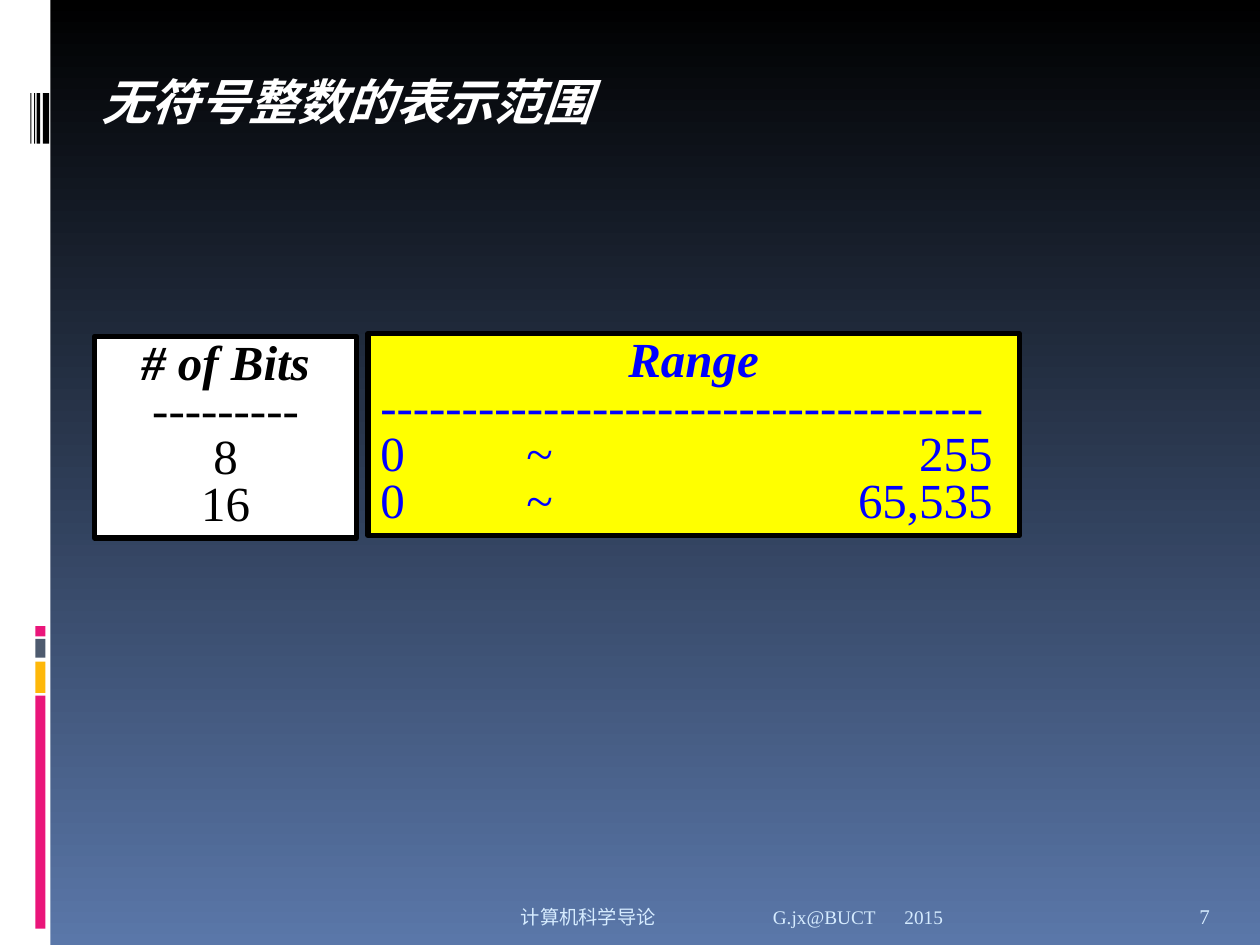
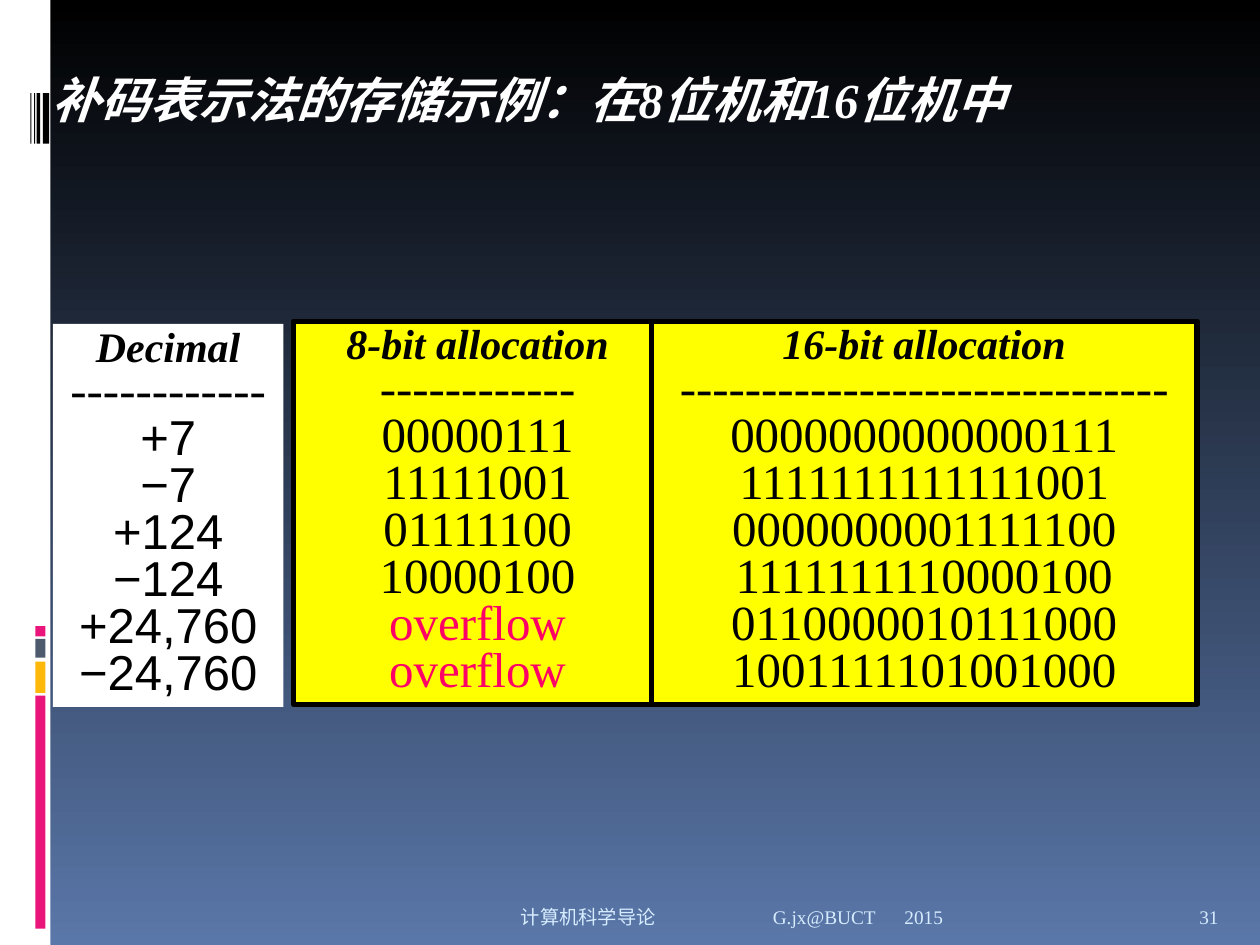
from lxml import etree
from pptx import Presentation
from pptx.dml.color import RGBColor
from pptx.enum.shapes import MSO_SHAPE
from pptx.enum.text import MSO_ANCHOR, PP_ALIGN
from pptx.oxml.ns import qn
from pptx.util import Inches, Pt

RECT = MSO_SHAPE.RECTANGLE
TOP, BOTTOM = MSO_ANCHOR.TOP, MSO_ANCHOR.BOTTOM
LEFT, CENTER, RIGHT = PP_ALIGN.LEFT, PP_ALIGN.CENTER, PP_ALIGN.RIGHT

SERIF, SANS = "Times New Roman", "Arial"
BLACK, WHITE, YELLOW, BLUE = "000000", "FFFFFF", "FFFF00", "0000FF"
SKY, PINK, ALERT = "D6ECFF", "EA157A", "FF0066"
SLATE, GOLD, FOOTER = "4E5B6F", "FEB80A", "D6ECFF"
BACKGROUND = (BLACK, "5A77A9")

SIDE_BLOCKS = [(4.97, 0.08, PINK), (5.07, 0.15, SLATE), (5.25, 0.25, GOLD), (5.52, 1.85, PINK)]
BARCODE = [(0.24, 0.01), (0.27, 0.01), (0.29, 0.03), (0.34, 0.05)]
RANGE_TABS = [(1.16, "l"), (4.86, "r")]


def rgb(value):
    """Turn a hex string into a colour."""
    return RGBColor.from_string(value)


def add_rect(s, x, y, w, h, fill, border=False):
    """Add a plain rectangle, with a thick black border if asked."""
    sp = s.shapes.add_shape(RECT, Inches(x), Inches(y), Inches(w), Inches(h))
    sp.shadow.inherit = False
    sp.fill.solid()
    sp.fill.fore_color.rgb = rgb(fill)
    if border:
        sp.line.color.rgb = rgb(BLACK)
        sp.line.width = Pt(3)
    else:
        sp.line.fill.background()
    return sp


def set_tabs(p, tabs):
    """Give a paragraph its tab stops as (inches, alignment) pairs."""
    tab_list = etree.SubElement(p._p.get_or_add_pPr(), qn("a:tabLst"))
    for pos, algn in tabs:
        etree.SubElement(tab_list, qn("a:tab"), pos=str(Inches(pos)), algn=algn)


def write(p, text, size, color, font=SERIF, align=LEFT, strong=False, tabs=()):
    """Fill a paragraph and format its runs; strong is bold italic."""
    p.text = text
    if tabs:
        set_tabs(p, tabs)
    p.alignment = align
    for r in p.runs:
        r.font.name = font
        r.font.size = Pt(size)
        r.font.bold = r.font.italic = strong
        r.font.color.rgb = rgb(color)


def add_text(s, x, y, w, h, text, size, color, anchor=TOP, wrap=True, **style):
    """Add a text box with one paragraph."""
    tf = s.shapes.add_textbox(Inches(x), Inches(y), Inches(w), Inches(h)).text_frame
    tf.word_wrap = wrap
    tf.vertical_anchor = anchor
    write(tf.paragraphs[0], text, size, color, **style)


def add_column(s, x, y, w, h, header, dashes, rows, fill=YELLOW, color=BLACK, border=True,
               header_size=24, font=SERIF, align=CENTER, tabs=()):
    """Add a box with a header, a dashed rule and rows of values."""
    tf = add_rect(s, x, y, w, h, fill, border).text_frame
    tf.word_wrap = True
    tf.vertical_anchor = TOP
    write(tf.paragraphs[0], header, header_size, color, align=CENTER, strong=True)
    write(tf.add_paragraph(), "-" * dashes, 28, color, align=align)
    for row in rows:
        row_color = ALERT if row == "overflow" else color
        write(tf.add_paragraph(), row, 28, row_color, font, align, tabs=tabs)
    for p in tf.paragraphs:
        p.line_spacing = 0.8


def add_base(prs, title, title_x, title_y, title_w, number, number_size):
    """Add a slide with background, side band, footer and title."""
    s = prs.slides.add_slide(prs.slide_layouts[6])
    fill = s.background.fill
    fill.gradient()
    fill.gradient_angle = 270
    for stop, color, position in zip(fill.gradient_stops, BACKGROUND, (0, 1)):
        stop.color.rgb = rgb(color)
        stop.position = position
    add_rect(s, 0, 0, 0.4, 7.5, WHITE)
    for y, h, color in SIDE_BLOCKS:
        add_rect(s, 0.28, y, 0.08, h, color)
    for x, w in BARCODE:
        add_rect(s, x, 0.74, w, 0.4, BLACK)
    add_text(s, 7.08, 7.02, 2.33, 0.4, "2015", 11, FOOTER, BOTTOM)
    add_text(s, 1, 7.02, 6.05, 0.4, "计算机科学导论\tG.jx@BUCT", 11, FOOTER, BOTTOM,
             align=RIGHT, tabs=[(i, "l") for i in range(8)])
    add_text(s, 9.42, 7.02, 0.5, 0.4, number, number_size, FOOTER, BOTTOM)
    add_text(s, title_x, title_y, title_w, 0.57, title, 28, WHITE, wrap=False, strong=True)
    return s


def add_unsigned_range(prs):
    """Build the slide on the range of unsigned integers."""
    s = add_base(prs, "无符号整数的表示范围", 0.71, 0.52, 4.08, "7", 12)
    add_column(s, 0.75, 2.67, 2.08, 1.6, "# of Bits", 9, ["8", "16"], WHITE, header_size=28)
    add_column(s, 2.92, 2.65, 5.17, 1.6, "Range", 37, ["0\t~\t255", "0\t~\t65,535"],
               color=BLUE, header_size=28, align=LEFT, tabs=RANGE_TABS)


def add_complement_storage(prs):
    """Build the slide on two's complement storage."""
    s = add_base(prs, "补码表示法的存储示例：在8位机和16位机中", 0.31, 0.5, 8.14, "31", 11)
    decimals = ["+7", "−7", "+124", "−124", "+24,760", "−24,760"]
    bytes_8 = ["00000111", "11111001", "01111100", "10000100", "overflow", "overflow"]
    words_16 = ["0000000000000111", "1111111111111001", "0000000001111100",
                "1111111110000100", "0110000010111000", "1001111101001000"]
    add_column(s, 0.42, 2.57, 1.83, 3.04, "Decimal", 12, decimals, WHITE,
               border=False, font=SANS)
    add_column(s, 2.33, 2.55, 2.92, 3.04, "8-bit allocation", 12, bytes_8)
    add_column(s, 5.17, 2.55, 4.33, 3.04, "16-bit allocation", 30, words_16)


def main():
    """Build and save the presentation."""
    prs = Presentation()
    prs.slide_width, prs.slide_height = Inches(10), Inches(7.5)
    add_unsigned_range(prs)
    add_complement_storage(prs)
    prs.save("out.pptx")


if __name__ == "__main__":
    main()
